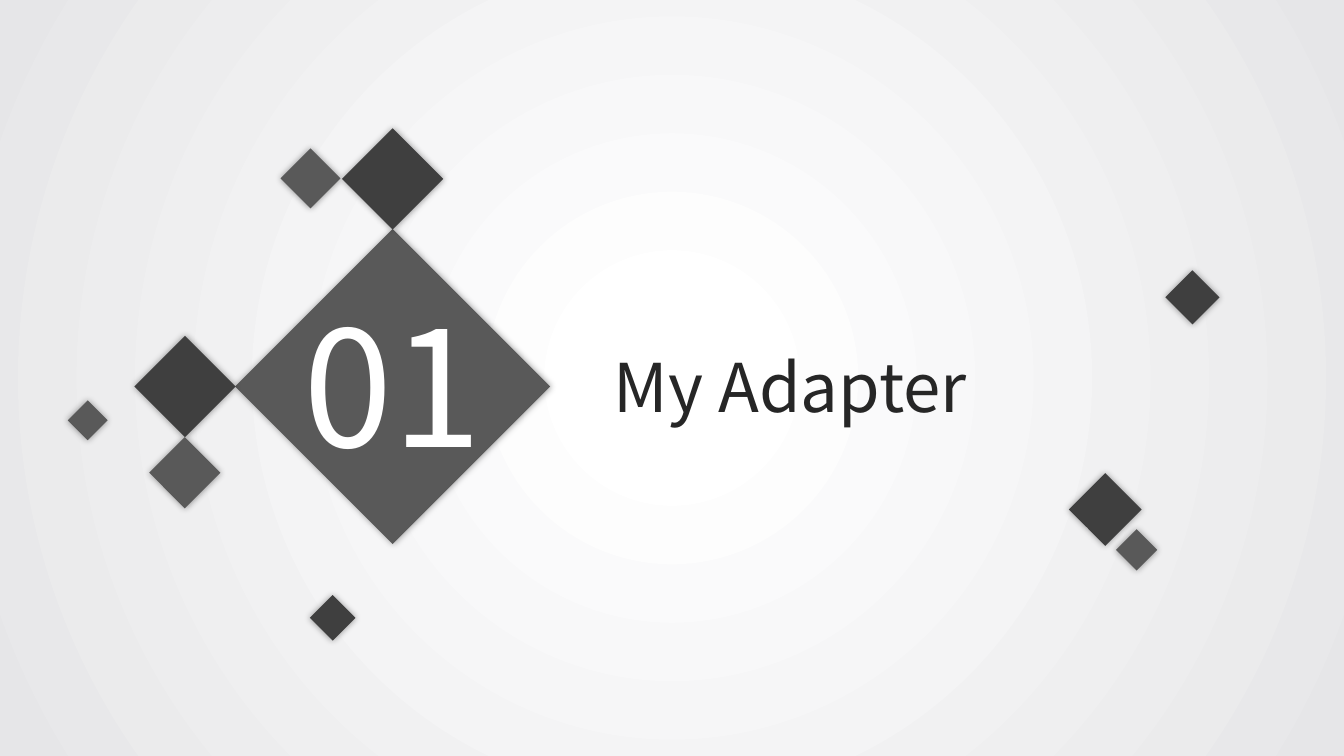
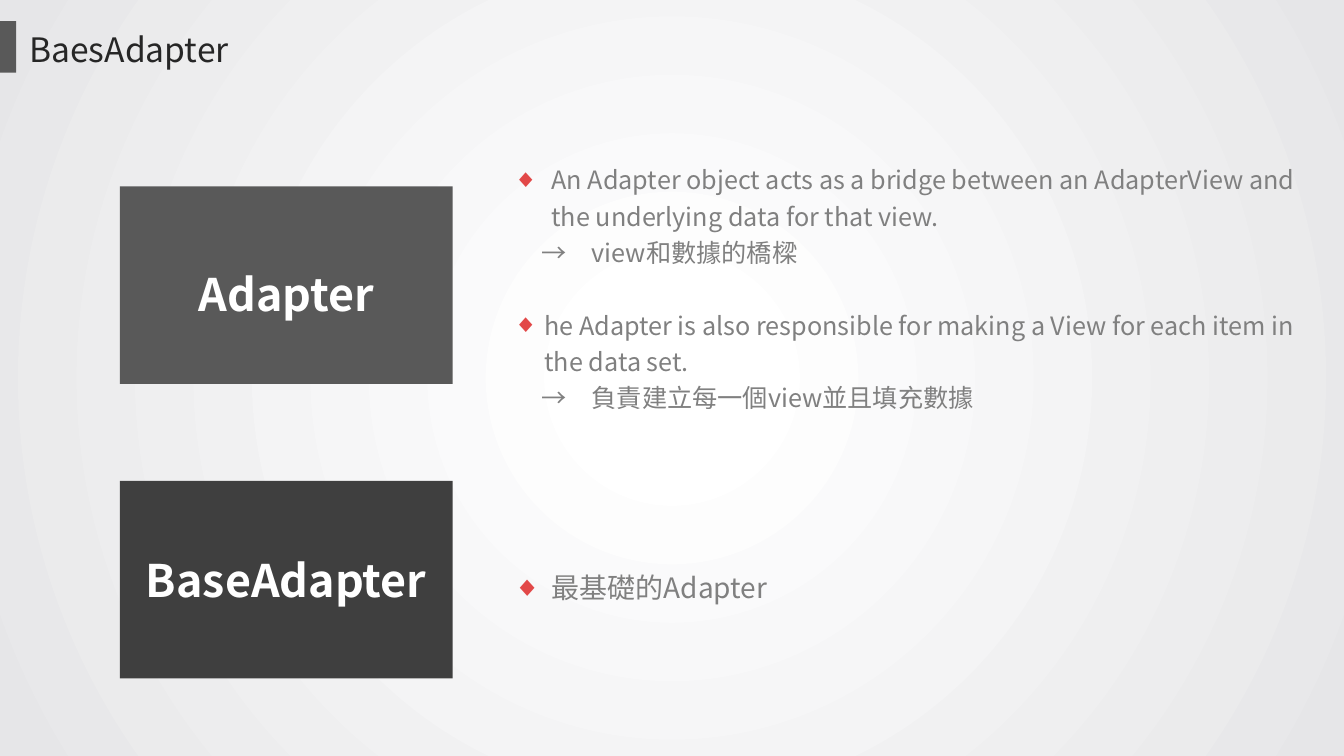
from lxml.etree import SubElement
from pptx import Presentation
from pptx.dml.color import RGBColor
from pptx.enum.shapes import MSO_SHAPE
from pptx.enum.text import MSO_ANCHOR, MSO_AUTO_SIZE, PP_ALIGN
from pptx.oxml import parse_xml
from pptx.oxml.ns import nsdecls, qn
from pptx.util import Inches, Pt

FONT = "Noto Sans CJK SC"
WHITE, PALE, GRAY = "FFFFFF", "E6E6E8", "808080"
MID, DARK, TEXT, RED = "595959", "3F3F3F", "262626", "E24848"
COLS, ROWS = 160, 90
WIDE, HIGH = Inches(13.333), Inches(7.5)
CELL = HIGH / ROWS


def ink(code):
    return RGBColor.from_string(code)


def span(cells):
    return round(cells * CELL)


def apply(item, form):
    for key, value in form.items():
        setattr(item, key, value)


def node(parent, tag, **attrs):
    return SubElement(parent, qn(tag), attrs)


class Deck:
    """Holds the shared style and the current slide."""

    def __init__(self):
        self.show = Presentation()
        apply(self.show, {"slide_width": WIDE, "slide_height": HIGH})
        self.slide = None
        self.ground()

    def ground(self):
        master = self.show.slide_master
        master.background.fill.solid()
        back = master.element.find(".//" + qn("p:bgPr"))
        back.replace(back[0], parse_xml(
            f'<a:gradFill {nsdecls("a")} rotWithShape="1"><a:gsLst>'
            f'<a:gs pos="9000"><a:srgbClr val="{ink(WHITE)}"/></a:gs>'
            f'<a:gs pos="100000"><a:srgbClr val="{ink(PALE)}"/></a:gs>'
            '</a:gsLst><a:path path="circle"><a:fillToRect l="50000" '
            't="50000" r="50000" b="50000"/></a:path></a:gradFill>'))

    def page(self, layout):
        self.slide = self.show.slides.add_slide(self.show.slide_layouts[layout])

    def place(self, item, box):
        names = ("left", "top", "width", "height")
        apply(item, dict(zip(names, map(span, box))))

    def frame(self, item, **form):
        base = {"word_wrap": True, "auto_size": MSO_AUTO_SIZE.NONE,
                "vertical_anchor": MSO_ANCHOR.MIDDLE}
        apply(item.text_frame, base | form)
        return item.text_frame

    def line(self, para, text, size, code, bold=False, **form):
        apply(para, {"space_before": Pt(0)} | form)
        run = para.add_run()
        run.text = text
        apply(run.font, {"name": FONT, "size": Pt(size), "bold": bold})
        run.font.color.rgb = ink(code)
        node(run.font._element, "a:ea", typeface=FONT)

    def title(self, text, box, size):
        item = self.slide.shapes.title
        self.place(item, box)
        frame = self.frame(item, vertical_anchor=MSO_ANCHOR.TOP)
        self.line(frame.paragraphs[0], text, size, TEXT,
                  alignment=PP_ALIGN.JUSTIFY)

    def block(self, box, code):
        item = self.slide.shapes.add_shape(
            MSO_SHAPE.RECTANGLE, *map(span, box))
        item.shadow.inherit = False
        item.fill.solid()
        item.fill.fore_color.rgb = ink(code)
        item.line.fill.background()
        return item

    def gem(self, x, y, size, code):
        item = self.block((x - size / 2, y - size / 2, size, size), code)
        item.rotation = 45
        glow = item._element.spPr.find(qn("a:effectLst"))
        cast = node(glow, "a:outerShdw", blurRad=str(Pt(5)), dist="0",
                    dir="0", algn="ctr", rotWithShape="0")
        shade = node(cast, "a:srgbClr", val=str(ink("000000")))
        node(shade, "a:alpha", val="40000")

    def card(self, text, box, code, drop=0):
        item = self.block(box, code)
        frame = self.frame(item, margin_top=Inches(0.05) + span(drop))
        self.line(frame.paragraphs[0], text, 32, WHITE, True,
                  alignment=PP_ALIGN.CENTER)

    def label(self, text, box, size):
        item = self.slide.shapes.add_textbox(*map(span, box))
        frame = self.frame(item, word_wrap=False,
                           vertical_anchor=MSO_ANCHOR.TOP)
        self.line(frame.paragraphs[0], text, size, WHITE,
                  alignment=PP_ALIGN.CENTER)

    def items(self, slot, box, size, rows):
        item = self.slide.placeholders[slot]
        self.place(item, box)
        frame = self.frame(item)
        for rank, (text, left, mark, gap) in enumerate(rows):
            para = frame.add_paragraph() if rank else frame.paragraphs[0]
            self.line(para, text, size, GRAY, line_spacing=1.2,
                      space_before=Pt(gap), alignment=PP_ALIGN.LEFT)
            prop = para._element.get_or_add_pPr()
            edge = Inches(left)
            prop.set("marL", str(edge))
            prop.set("indent", str(-edge if mark else 0))
            if mark:
                tint = node(prop, "a:buClr")
                node(tint, "a:srgbClr", val=str(ink(RED)))
                node(prop, "a:buChar", char="◆")
            else:
                node(prop, "a:buNone")


def opener(deck):
    deck.page(5)
    gems = ((46.74, 46.02, 26.52, MID), (46.74, 21.3, 8.52, DARK),
            (22.02, 46.02, 8.52, DARK), (22, 56.28, 6, MID),
            (36.96, 21.24, 5.04, MID), (10.44, 50.04, 3.36, MID),
            (39.6, 73.56, 3.84, DARK), (131.58, 60.66, 6.12, DARK),
            (135.3, 65.46, 3.48, MID), (141.96, 35.4, 4.56, DARK))
    for gem in gems:
        deck.gem(*gem)
    deck.label("01", (32.16, 33.48, 29.16, 24.48), 115)
    deck.title("My Adapter", (71.88, 40.56, 60.12, 10.92), 48)


def adapter(deck):
    deck.page(3)
    deck.block((0, 2.52, 1.92, 6.12), MID)
    deck.title("BaesAdapter", (2.28, 2.88, 34.68, 6), 24)
    cards = (("Adapter", 22.2, MID, 2), ("BaseAdapter", 57.24, DARK, 0))
    for text, top, code, drop in cards:
        deck.card(text, (14.28, top, 39.6, 23.52), code, drop)
    deck.items(1, (59.88, 18.12, 96, 31.8), 18, (
        ("An Adapter object acts as a bridge between an AdapterView and "
         "the underlying data for that view.", 0.38, True, 0),
        ("→　view和數據的橋樑", 0.28, False, 0),
        ("he Adapter is also responsible for making a View for each item "
         "in the data set.", 0.31, True, 26),
        ("→　負責建立每一個view並且填充數據", 0.28, False, 0)))
    deck.items(2, (59.88, 66.72, 40.08, 5.64), 20,
               (("最基礎的Adapter", 0.38, True, 0),))


def main():
    deck = Deck()
    opener(deck)
    adapter(deck)
    deck.show.save("out.pptx")


if __name__ == "__main__":
    main()
